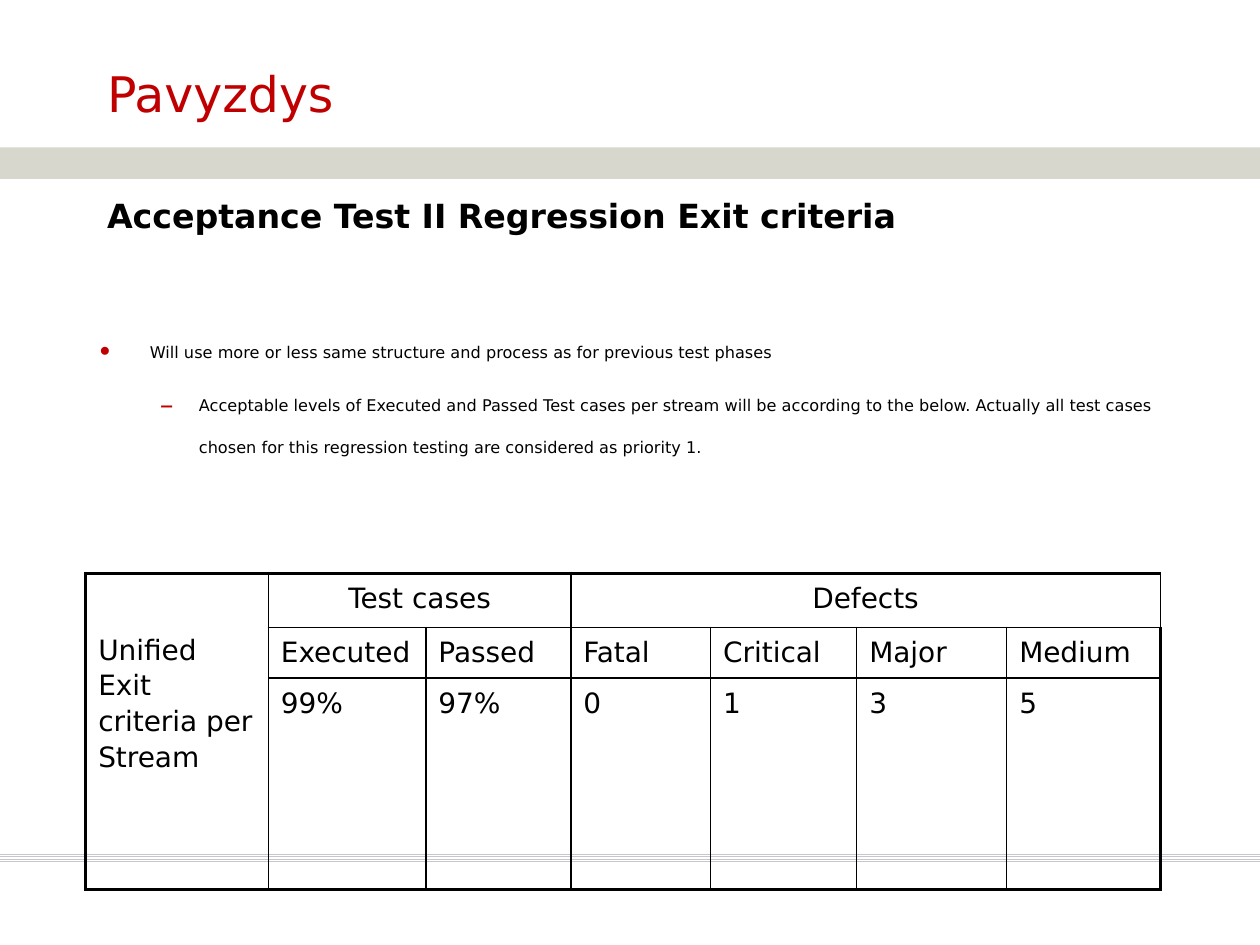
from dataclasses import dataclass

from lxml import etree
from pptx import Presentation
from pptx import util as u
from pptx.dml.color import RGBColor
from pptx.enum import shapes, text
from pptx.oxml import ns


@dataclass(frozen=True)
class Theme:
    font: str = "DejaVu Sans"
    ink: str = "000000"
    accent: str = "C00000"
    band: str = "D7D7CE"
    rule: str = "C8C6CC"
    title: float = 28
    headline: float = 19
    cell: float = 16
    bullet: float = 9.2
    leading: float = 1.1
    thin: float = 1
    thick: float = 2.25


THEME = Theme()
WIDTH, HEIGHT = u.Inches(10), u.Inches(7.5)
COLUMNS, ROWS = 100, 75

BULLETS = [
    ("•", 4.2, -4.2, 0,
     "Will use more or less same structure and process as for previous test phases"),
    ("–", 8.1, -3.1, 6.3,
     "Acceptable levels of Executed and Passed Test cases per stream will be according "
     "to the below. Actually all test cases chosen for this regression testing are "
     "considered as priority 1."),
]
CRITERIA = [
    ["Unified Exit criteria per Stream", "Test cases", "", "Defects", "", "", ""],
    ["", "Executed", "Passed", "Fatal", "Critical", "Major", "Medium"],
    ["", "99%", "97%", "0", "1", "3", "5"],
]
SPANS = [(0, 0, 2, 0), (0, 1, 0, 2), (0, 3, 0, 6)]
CRITERIA_COLUMNS = [14.5, 12.5, 11.5, 11.1, 11.6, 11.9, 12.2]
CRITERIA_ROWS = [4.3, 4, 16.5]


def across(columns):
    return u.Emu(round(WIDTH * columns / COLUMNS))


def down(rows):
    return u.Emu(round(HEIGHT * rows / ROWS))


def area(left, top, width, height):
    return across(left), down(top), across(width), down(height)


def place(shape, *cells):
    shape.left, shape.top, shape.width, shape.height = area(*cells)


def add_xml(parent, tag, **attributes):
    return etree.SubElement(parent, ns.qn(tag), attributes)


def write(paragraph, words, size, color=THEME.ink, bold=False, leading=THEME.leading):
    paragraph.line_spacing = leading
    paragraph.space_before = u.Pt(0)
    run = paragraph.add_run()
    run.text = words
    run.font.name = THEME.font
    run.font.size = u.Pt(size)
    run.font.bold = bold
    run.font.color.rgb = RGBColor.from_string(color)


def fill_placeholder(shape, cells, words, size, color, anchor, bold=False):
    place(shape, *cells)
    frame = shape.text_frame
    frame.auto_size = text.MSO_AUTO_SIZE.NONE
    frame.vertical_anchor = anchor
    paragraph = frame.paragraphs[0]
    paragraph.alignment = text.PP_ALIGN.LEFT
    write(paragraph, words, size, color, bold, THEME.leading if bold else 1.0)
    properties = paragraph._p.get_or_add_pPr()
    properties.set("marL", "0")
    properties.set("indent", "0")
    add_xml(properties, "a:buNone")


def add_band(slide, *cells):
    band = slide.shapes.add_shape(shapes.MSO_SHAPE.RECTANGLE, *area(*cells))
    band.shadow.inherit = False
    band.fill.solid()
    band.fill.fore_color.rgb = RGBColor.from_string(THEME.band)
    band.line.fill.background()


def add_rule(slide, row):
    rule = slide.shapes.add_connector(
        shapes.MSO_CONNECTOR.STRAIGHT, 0, down(row), WIDTH, down(row))
    rule.line.color.rgb = RGBColor.from_string(THEME.rule)
    rule.line.width = u.Pt(0.5)
    add_xml(rule._element.spPr, "a:effectLst")


def add_bullets(slide, *cells):
    frame = slide.shapes.add_textbox(*area(*cells)).text_frame
    frame.word_wrap = True
    frame.margin_right = across(0.5)
    for number, (mark, margin, indent, before, words) in enumerate(BULLETS):
        paragraph = frame.add_paragraph() if number else frame.paragraphs[0]
        paragraph.level = number
        write(paragraph, words, THEME.bullet, leading=u.Pt(24))
        paragraph.space_before = u.Pt(before)
        properties = paragraph._p.get_or_add_pPr()
        properties.set("marL", str(across(margin)))
        properties.set("indent", str(int(across(indent))))
        add_xml(add_xml(properties, "a:buClr"), "a:srgbClr", val=THEME.accent)
        add_xml(properties, "a:buSzPct", val="170000")
        add_xml(properties, "a:buFont", typeface=THEME.font)
        add_xml(properties, "a:buChar", char=mark)


def style_cell(cell, row, column):
    last_row, last_column = len(CRITERIA_ROWS) - 1, len(CRITERIA_COLUMNS) - 1
    outer = {
        "a:lnL": column == 0,
        "a:lnR": column == last_column,
        "a:lnT": row == 0,
        "a:lnB": row == last_row or column == 0,
    }
    properties = cell._tc.get_or_add_tcPr()
    for tag, is_outer in outer.items():
        width = u.Pt(THEME.thick if is_outer else THEME.thin)
        line = add_xml(properties, tag, w=str(int(width)))
        add_xml(add_xml(line, "a:solidFill"), "a:srgbClr", val=THEME.ink)
    cell.fill.background()


def add_criteria(slide, left, top):
    cells = area(left, top, sum(CRITERIA_COLUMNS), sum(CRITERIA_ROWS))
    table = slide.shapes.add_table(
        len(CRITERIA_ROWS), len(CRITERIA_COLUMNS), *cells).table
    table.first_row = table.horz_banding = False
    for column, width in zip(table.columns, CRITERIA_COLUMNS):
        column.width = across(width)
    for row, height in zip(table.rows, CRITERIA_ROWS):
        row.height = down(height)
    for top_row, first, bottom_row, last in SPANS:
        table.cell(top_row, first).merge(table.cell(bottom_row, last))
    for row, labels in enumerate(CRITERIA):
        for column, label in enumerate(labels):
            cell = table.cell(row, column)
            style_cell(cell, row, column)
            if label:
                paragraph = cell.text_frame.paragraphs[0]
                write(paragraph, label, THEME.cell)
                if row == 0 and column:
                    paragraph.alignment = text.PP_ALIGN.CENTER
    table.cell(0, 0).margin_top = down(4.6)


def main():
    presentation = Presentation()
    presentation.slide_width, presentation.slide_height = WIDTH, HEIGHT
    slide = presentation.slides.add_slide(presentation.slide_layouts[1])
    for step in range(4):
        add_rule(slide, 67.8 + 0.2 * step)
    add_band(slide, 0, 11.7, 100, 2.5)
    fill_placeholder(slide.shapes.title, (7.5, 3.2, 85, 8.3), "Pavyzdys",
                     THEME.title, THEME.accent, text.MSO_ANCHOR.MIDDLE)
    fill_placeholder(slide.placeholders[1], (7.5, 14.7, 88.2, 4.7),
                     "Acceptance Test II Regression Exit criteria",
                     THEME.headline, THEME.ink, text.MSO_ANCHOR.TOP, bold=True)
    add_bullets(slide, 6.7, 24.9, 85.8, 19.7)
    add_criteria(slide, 6.8, 45.5)
    presentation.save("out.pptx")


main()
